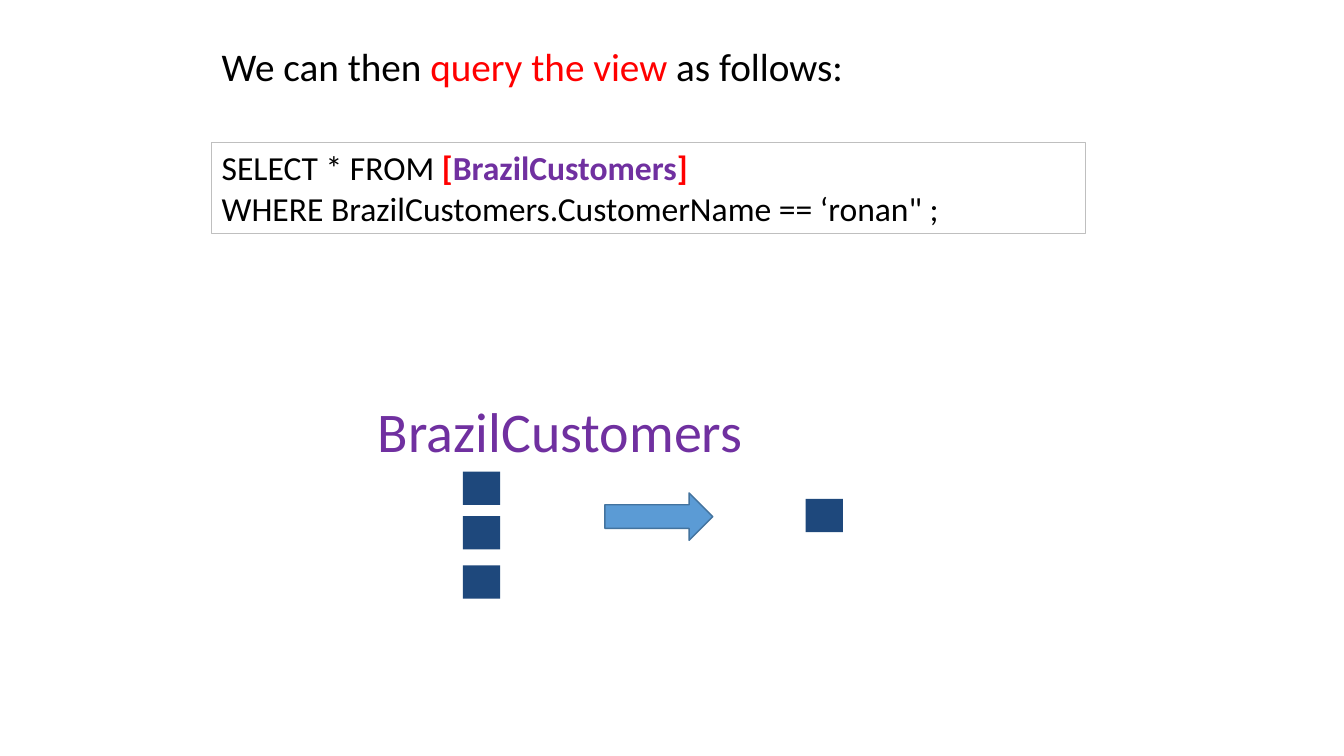
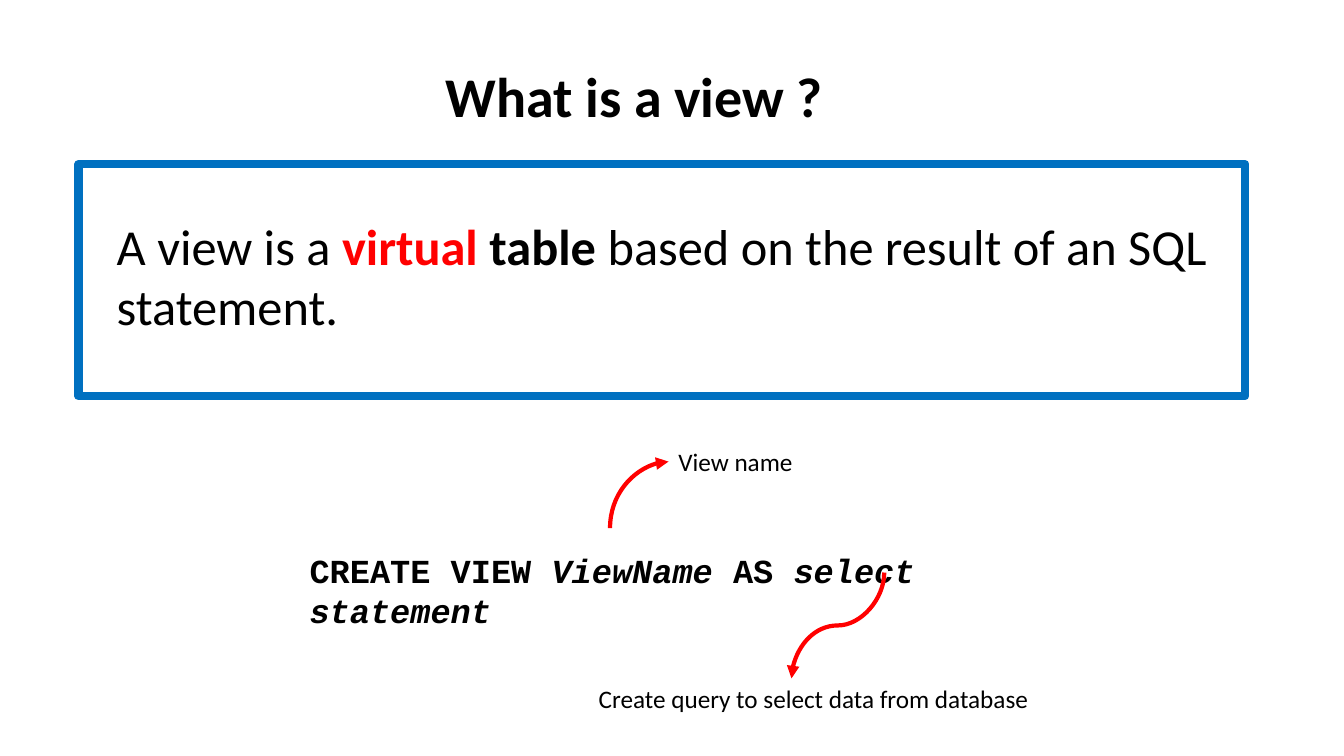
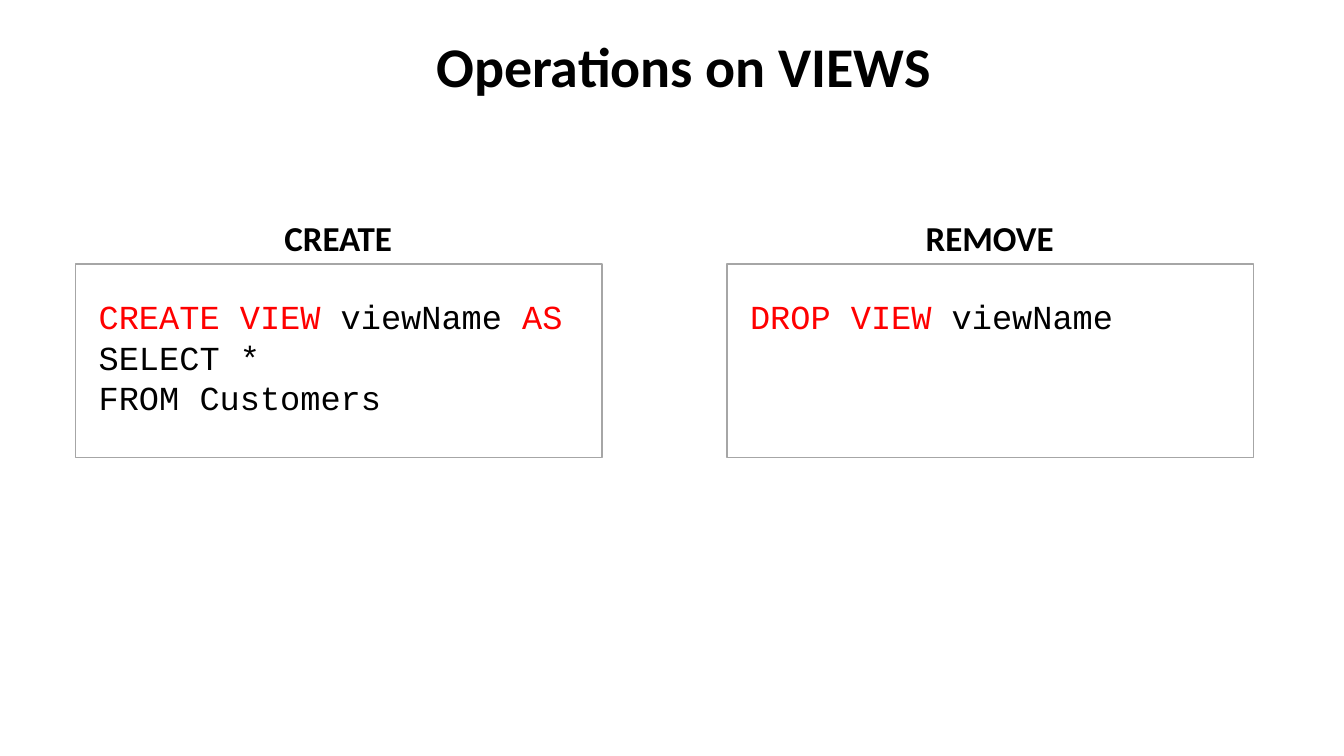
from dataclasses import dataclass

from lxml import etree
from pptx import Presentation
from pptx import util as u
from pptx.dml.color import RGBColor
from pptx.enum import shapes, text
from pptx.oxml.ns import qn


@dataclass(frozen=True)
class Theme:
    body_font: str = "Calibri"
    code_font: str = "Courier New"
    black: str = "000000"
    white: str = "FFFFFF"
    red: str = "FF0000"
    purple: str = "7030A0"
    navy: str = "1E487C"
    blue: str = "0070C0"
    arrow_fill: str = "5B9BD5"
    arrow_line: str = "43739E"
    pale_grey: str = "BFBFBF"
    grey: str = "A6A6A6"
    title: int = 40
    statement: int = 36
    lead: int = 28
    heading: int = 25
    code: int = 24
    label: int = 18


THEME = Theme()
RED = {"color": THEME.red}
ITALIC = {"italic": True}


class Deck:
    def __init__(self, theme):
        self.theme = theme
        self.prs = Presentation()
        self.prs.slide_width = u.Inches(13.33)
        self.prs.slide_height = u.Inches(7.5)
        self.slide = None

    def new_slide(self):
        self.slide = self.prs.slides.add_slide(self.prs.slide_layouts[6])

    def paint(self, shape, fill=None, line=None, weight=1):
        if fill:
            shape.fill.solid()
            shape.fill.fore_color.rgb = RGBColor.from_string(fill)
        else:
            shape.fill.background()
        if line:
            shape.line.color.rgb = RGBColor.from_string(line)
            shape.line.width = u.Pt(weight)
        else:
            shape.line.fill.background()

    def box(self, at, fill=None, line=None, weight=1,
            preset=shapes.MSO_SHAPE.RECTANGLE):
        shape = self.slide.shapes.add_shape(preset, *map(u.Inches, at))
        shape.shadow.inherit = False
        self.paint(shape, fill, line, weight)

    def text(self, at, paragraphs, size, font=None, color=None, bold=False,
             align=text.PP_ALIGN.LEFT, anchor=text.MSO_ANCHOR.TOP,
             indent=0, **look):
        """Each paragraph is a list of runs: a string, or (string, overrides)."""
        holder = self.slide.shapes.add_textbox(*map(u.Inches, at))
        self.paint(holder, **look)
        frame = holder.text_frame
        frame.word_wrap = True
        frame.vertical_anchor = anchor
        frame.margin_left = u.Inches(0.1 + indent)
        for index, runs in enumerate(paragraphs):
            paragraph = frame.add_paragraph() if index else frame.paragraphs[0]
            paragraph.alignment = align
            paragraph.font.name = font or self.theme.body_font
            paragraph.font.size = u.Pt(size)
            paragraph.font.bold = bold
            paragraph.font.color.rgb = RGBColor.from_string(color or self.theme.black)
            for item in runs:
                words, style = (item, {}) if isinstance(item, str) else item
                run = paragraph.add_run()
                run.text = words
                if "color" in style:
                    run.font.color.rgb = RGBColor.from_string(style["color"])
                if "bold" in style:
                    run.font.bold = style["bold"]
                if "italic" in style:
                    run.font.italic = style["italic"]

    def title(self, left, top, words):
        self.text((left, top, 5.8, 0.77), [[words]], self.theme.title,
                  bold=True, align=text.PP_ALIGN.CENTER)

    def code(self, at, paragraphs, **options):
        self.text(at, paragraphs, self.theme.code, self.theme.code_font, **options)

    def label(self, at, words):
        self.text(at, [[words]], self.theme.label)

    def curve(self, start, end, preset):
        """Draw a curved arrow that leaves its start vertically."""
        mid_x, mid_y = (start[0] + end[0]) / 2, (start[1] + end[1]) / 2
        # A quarter turn back about the centre gives the unrotated ends.
        ends = [(mid_x + y - mid_y, mid_y - x + mid_x) for x, y in (start, end)]
        arrow = self.slide.shapes.add_connector(
            shapes.MSO_CONNECTOR.CURVE, *(u.Inches(v) for point in ends for v in point))
        arrow.line.color.rgb = RGBColor.from_string(self.theme.red)
        arrow.line.width = u.Pt(3)
        properties = arrow._element.spPr
        properties.find(qn("a:xfrm")).set("rot", str(90 * 60000))
        properties.find(qn("a:prstGeom")).set("prst", preset)
        etree.SubElement(properties.find(qn("a:ln")), qn("a:tailEnd"), type="triangle")
        etree.SubElement(properties, qn("a:effectLst"))


def query_slide(deck):
    t = deck.theme
    deck.new_slide()
    deck.text((2.1, 0.37, 9.21, 0.57),
              [["We can then ", ("query the view ", RED), "as follows:"]], t.lead)
    bracket = {"color": t.red, "bold": True}
    deck.text((2.1, 1.41, 8.67, 0.91),
              [["SELECT * FROM ", ("[", bracket),
                ("BrazilCustomers", {"color": t.purple, "bold": True}), ("]", bracket)],
               ["WHERE BrazilCustomers.CustomerName == ‘ronan\" ;"]],
              t.code, line=t.pale_grey, weight=0.75)
    deck.text((3.65, 3.88, 3.86, 0.77), [["BrazilCustomers"]], t.title, color=t.purple)
    for left, top in ((4.59, 4.68), (4.59, 5.12), (4.59, 5.61), (7.99, 4.95)):
        deck.box((left, top, 0.37, 0.33), fill=t.navy)
    deck.box((6, 4.89, 1.07, 0.47), t.arrow_fill, t.arrow_line,
             preset=shapes.MSO_SHAPE.RIGHT_ARROW)


def definition_slide(deck):
    t = deck.theme
    deck.new_slide()
    deck.title(3.39, 0.56, "What is a view ?")
    deck.text((1.06, 2.08, 11.04, 1.31),
              [["A view is a ", ("virtual", {"color": t.red, "bold": True}),
                (" table ", {"bold": True}),
                "based on the result of an SQL statement."]], t.statement)
    deck.box((0.78, 1.63, 11.57, 2.3), line=t.blue, weight=6)
    deck.code((1.97, 4.99, 8.83, 1.31),
              [["CREATE VIEW ", ("ViewName ", ITALIC), "AS ",
                ("select statement", ITALIC)]],
              bold=True, indent=1, anchor=text.MSO_ANCHOR.BOTTOM,
              fill=t.white, line=t.white)
    deck.label((6.63, 4.38, 3.99, 0.4), "View name")
    deck.curve((6.05, 5.24), (6.63, 4.58), "curvedConnector2")
    deck.label((5.84, 6.73, 4.54, 0.4), "Create query to select data from database")
    deck.curve((8.77, 5.68), (7.85, 6.73), "curvedConnector3")


def operations_slide(deck):
    t = deck.theme
    deck.new_slide()
    deck.title(3.88, 0.26, "Operations on VIEWS")
    operations = (
        ("CREATE", [[("CREATE VIEW ", RED), "viewName ", ("AS", RED)],
                    ["SELECT *"], ["FROM Customers"]]),
        ("REMOVE", [[("DROP VIEW ", RED), "viewName"]]),
    )
    for column, (heading, statement) in enumerate(operations):
        left = 0.75 + 6.46 * column
        deck.box((left, 2.62, 5.22, 1.92), line=t.grey)
        deck.text((left + 1.23, 2.1, 2.75, 0.52), [[heading]], t.heading,
                  bold=True, align=text.PP_ALIGN.CENTER)
        deck.code((left + 0.13, 2.89, 4.95, 0.1 + 0.4 * len(statement)), statement)


def main():
    deck = Deck(THEME)
    query_slide(deck)
    definition_slide(deck)
    operations_slide(deck)
    deck.prs.save("out.pptx")


if __name__ == "__main__":
    main()
